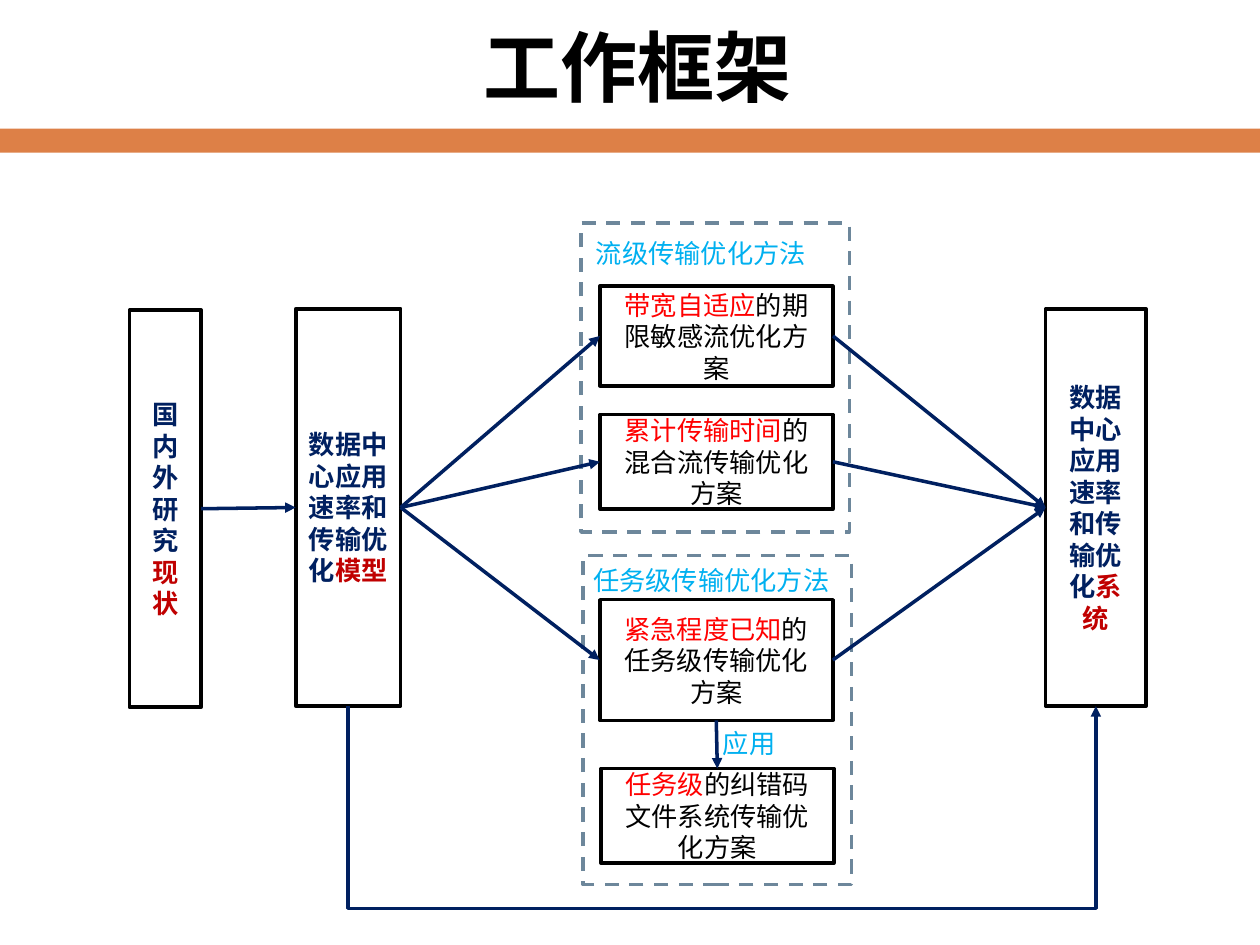
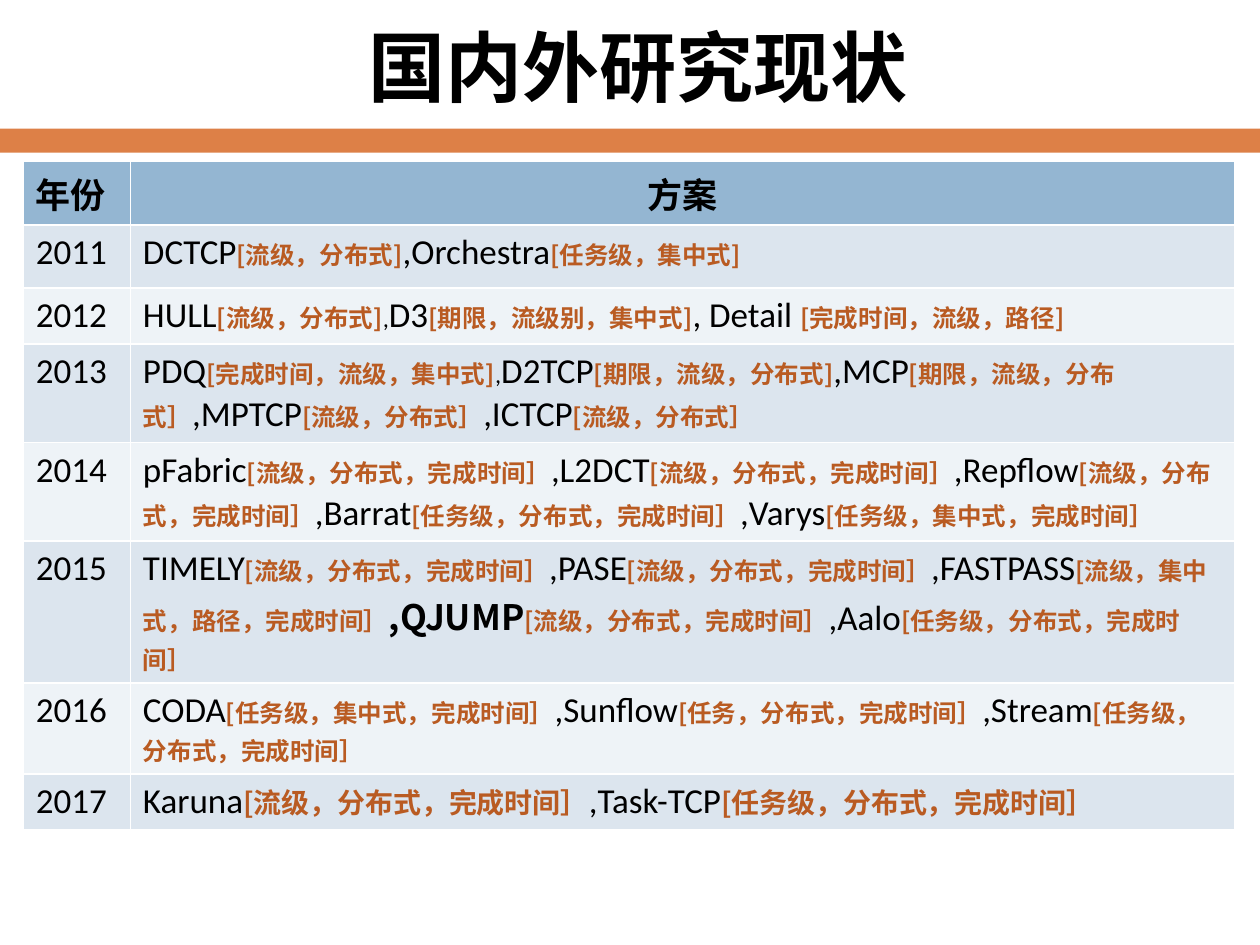
from lxml import etree
from pptx import Presentation
from pptx.dml.color import RGBColor
from pptx.enum.dml import MSO_LINE
from pptx.enum.lang import MSO_LANGUAGE_ID
from pptx.enum.shapes import MSO_CONNECTOR, MSO_SHAPE
from pptx.enum.text import MSO_ANCHOR, PP_ALIGN
from pptx.oxml.ns import qn
from pptx.util import Pt

RECT = MSO_SHAPE.RECTANGLE
STRAIGHT = MSO_CONNECTOR.STRAIGHT
DASH = MSO_LINE.DASH
MIDDLE = MSO_ANCHOR.MIDDLE
CENTER, LEFT = PP_ALIGN.CENTER, PP_ALIGN.LEFT
CHINESE = MSO_LANGUAGE_ID.SIMPLIFIED_CHINESE
TOP_SIDE, LEFT_SIDE, BOTTOM_SIDE, RIGHT_SIDE = range(4)

COLORS = {
    "black": "000000", "band": "DD8047", "navy": "002060", "dark": "C00000",
    "red": "FF0000", "sky": "00B0F0", "frame": "6D879B", "tag": "B95B22",
    "head": "94B6D2", "odd": "DCE5EE", "even": "EEF3F7",
}
LATIN, HAN = "Calibri", "Noto Sans CJK SC"

FLOW = ("流级传输优化方法", (1.4, 4.3), [
    ((10.8, 36, 133.2, 57), "带宽自适应", "的期限敏感流优化方案"),
    ((10.8, 109.4, 133.2, 54), "累计传输时间", "的混合流传输优化方案"),
])
TASK = ("任务级传输优化方法", (-1.4, 1.4), [
    ((9.4, 25.2, 133.2, 69), "紧急程度已知", "的任务级传输优化方案"),
    ((10, 121.7, 133.2, 54), "任务级", "的纠错码文件系统传输优化方案"),
])

WORKS = [
    ("2011", 36, [("DCTCP", "[流级，分布式]"), ("Orchestra", "[任务级，集中式]")]),
    ("2012", 32, [("HULL", "[流级，分布式]"), ("D3", "[期限，流级别，集中式]"),
                  (" Detail ", "[完成时间，流级，路径]")]),
    ("2013", 56, [("PDQ", "[完成时间，流级，集中式]"), ("D2TCP", "[期限，流级，分布式]"),
                  ("MCP", "[期限，流级，分布式］"), ("MPTCP", "[流级，分布式］"),
                  ("ICTCP", "[流级，分布式］")]),
    ("2014", 56, [("pFabric", "[流级，分布式，完成时间］"),
                  ("L2DCT", "[流级，分布式，完成时间］"),
                  ("Repflow", "[流级，分布式，完成时间］"),
                  ("Barrat", "[任务级，分布式，完成时间］"),
                  ("Varys", "[任务级，集中式，完成时间］")]),
    ("2015", 81, [("TIMELY", "[流级，分布式，完成时间］"),
                  ("PASE", "[流级，分布式，完成时间］"),
                  ("FASTPASS", "[流级，集中式，路径，完成时间］"),
                  ("QJUMP", "[流级，分布式，完成时间］"),
                  ("Aalo", "[任务级，分布式，完成时间］")]),
    ("2016", 52, [("CODA", "[任务级，集中式，完成时间］"),
                  ("Sunflow", "[任务，分布式，完成时间］"),
                  ("Stream", "[任务级，分布式，完成时间］")]),
    ("2017", 31, [("Karuna", "[流级，分布式，完成时间］"),
                  ("Task-TCP", "[任务级，分布式，完成时间］")]),
]
SMALL = {"D3", "D2TCP"}
STRONG = {"QJUMP"}


def rgb(name):
    """Return the named colour."""
    return RGBColor.from_string(COLORS[name])


def points(box):
    """Turn numbers into point lengths."""
    return [Pt(n) for n in box]


def write(para, text, size, color="black", bold=False, face=LATIN):
    """Add one formatted run to a paragraph."""
    run = para.add_run()
    run.text = text
    font = run.font
    font.size, font.bold, font.name = Pt(size), bold, face
    font.color.rgb = rgb(color)
    font.language_id = CHINESE
    etree.SubElement(run.font._element, qn("a:ea"), typeface=HAN)


def stroke(shape, color, arrow=False):
    """Give a shape a two-point line, with an arrowhead if asked."""
    shape.line.color.rgb = rgb(color)
    shape.line.width = Pt(2)
    if arrow:
        line = shape.element.spPr.find(qn("a:ln"))
        etree.SubElement(line, qn("a:tailEnd"), type="triangle")


def block(slide, box):
    """Add an unfilled rectangle without shadow."""
    shape = slide.shapes.add_shape(RECT, *points(box))
    shape.shadow.inherit = False
    shape.fill.background()
    return shape


def node(slide, box, parts, bold=False):
    """Add a black-edged box with centred coloured runs."""
    shape = block(slide, box)
    stroke(shape, "black")
    frame = shape.text_frame
    frame.word_wrap = True
    frame.vertical_anchor = MIDDLE
    para = frame.paragraphs[0]
    para.alignment = CENTER
    for text, color in parts:
        write(para, text, 15, color, bold)
    return shape


def label(slide, box, text):
    """Add a light blue caption."""
    frame = slide.shapes.add_textbox(*points(box)).text_frame
    frame.word_wrap = True
    write(frame.paragraphs[0], text, 15, "sky")


def link(slide, start, end, out=RIGHT_SIDE, into=LEFT_SIDE):
    """Join two boxes with an arrow."""
    line = slide.shapes.add_connector(STRAIGHT, 0, 0, 0, 0)
    line.begin_connect(start, out)
    line.end_connect(end, into)
    stroke(line, "navy", True)
    etree.SubElement(line.element.spPr, qn("a:effectLst"))


def detour(slide, start, end, low):
    """Draw the arrow that runs below the panels."""
    left, right = (s.left + s.width // 2 for s in (start, end))
    pen = slide.shapes.build_freeform(left, start.top + start.height)
    pen.add_line_segments([(left, low), (right, low),
                           (right, end.top + end.height)], close=False)
    shape = pen.convert_to_shape()
    shape.shadow.inherit = False
    shape.fill.background()
    stroke(shape, "navy", True)


def panel(slide, box, data):
    """Draw a dashed panel with its caption and method boxes."""
    title, (right, down), items = data
    x, y = box[:2]
    frame = block(slide, box)
    stroke(frame, "frame")
    frame.line.dash_style = DASH
    label(slide, (x + right, y + down, 164, 25), title)
    return [node(slide, (x + dx, y + dy, w, h), [(key, "red"), (rest, "black")])
            for (dx, dy, w, h), key, rest in items]


def start(deck, title):
    """Add a slide with its title and band."""
    slide = deck.slides.add_slide(deck.slide_layouts[5])
    band = block(slide, (0, 73.5, 720, 13.7))
    band.fill.solid()
    band.fill.fore_color.rgb = rgb("band")
    band.line.fill.background()
    head = slide.shapes.title
    head.left, head.top, head.width, head.height = points((24, 10, 681, 55.5))
    head.text_frame.vertical_anchor = MIDDLE
    para = head.text_frame.paragraphs[0]
    para.alignment = CENTER
    write(para, title, 44, bold=True, face=HAN)
    return slide


def plan(slide, x, y):
    """Draw the framework, its top left corner at x, y."""
    def pillar(left, top, width, text, key):
        """Draw one tall box."""
        return node(slide, (x + left, y + top, width, 227),
                    [(text, "navy"), (key, "dark")], True)

    core = "数据中心应用速率和传输优化"
    state = pillar(0, 49.7, 41, "国内外研究", "现状")
    model = pillar(95, 49, 60, core, "模型")
    system = pillar(523.5, 49, 57.5, core, "系统")
    flows = panel(slide, (x + 258, y, 153.4, 176.5), FLOW)
    task, code = panel(slide, (x + 259.3, y + 190, 153.4, 188), TASK)
    link(slide, state, model)
    for item in (*flows, task):
        link(slide, model, item)
        link(slide, item, system)
    link(slide, task, code, BOTTOM_SIDE, TOP_SIDE)
    label(slide, (x + 332, y + 284.5, 59, 25), "应用")
    detour(slide, model, system, Pt(y + 391.5))


def fill(cell, color):
    """Fill a cell and return its paragraph."""
    cell.fill.solid()
    cell.fill.fore_color.rgb = rgb(color)
    return cell.text_frame.paragraphs[0]


def entry(para, works, size):
    """Write the schemes of one year with their tags."""
    for i, (name, tag) in enumerate(works):
        strong = name in STRONG
        face = HAN if strong else LATIN
        if i and name in SMALL:
            write(para, ",", 14)
        elif i:
            name = "," + name
        write(para, name, 20, bold=strong, face=face)
        write(para, tag, size, "tag", True, HAN)


def survey(slide, x, y):
    """Draw the table of schemes by year."""
    widths = (61.2, 631.2)
    heights = [36] + [h for _, h, _ in WORKS]
    box = (x, y, sum(widths), sum(heights))
    grid = slide.shapes.add_table(len(heights), 2, *points(box)).table
    for col, width in zip(grid.columns, widths):
        col.width = Pt(width)
    for row, height in zip(grid.rows, heights):
        row.height = Pt(height)
    for i, (text, side) in enumerate((("年份", LEFT), ("方案", CENTER))):
        para = fill(grid.cell(0, i), "head")
        para.alignment = side
        write(para, text, 20, bold=True)
    for i, (year, _, works) in enumerate(WORKS, 1):
        color = "odd" if i % 2 else "even"
        write(fill(grid.cell(i, 0), color), year, 20)
        entry(fill(grid.cell(i, 1), color), works, 16 if year == "2017" else 14)


def main():
    """Build and save the deck."""
    deck = Presentation()
    deck.slide_width, deck.slide_height = Pt(720), Pt(540)
    plan(start(deck, "工作框架"), 74, 127.5)
    survey(start(deck, "国内外研究现状"), 13.3, 92.4)
    deck.save("out.pptx")


if __name__ == "__main__":
    main()
